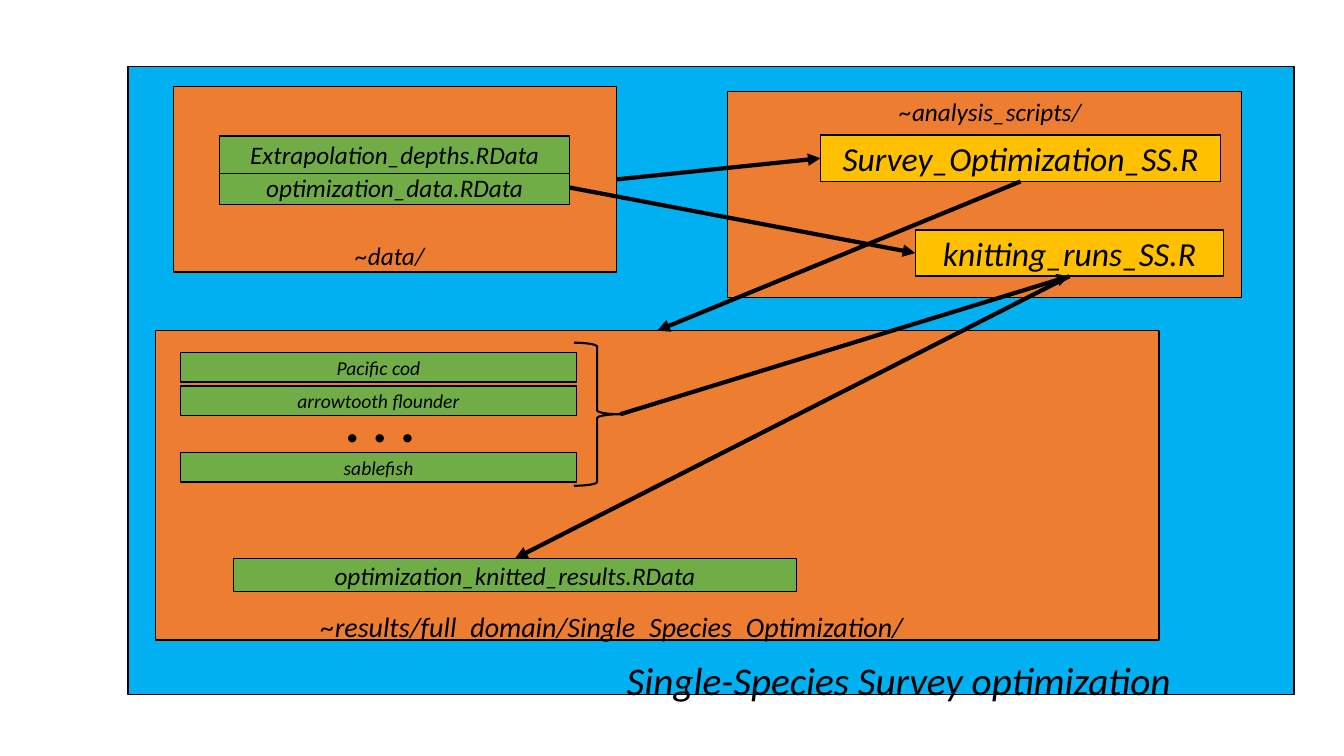
"""Build the single-species survey optimization workflow slide."""
from lxml import etree
from pptx import Presentation
from pptx.dml.color import RGBColor
from pptx.enum.shapes import MSO_CONNECTOR, MSO_SHAPE
from pptx.enum.text import MSO_ANCHOR, MSO_AUTO_SIZE, PP_ALIGN
from pptx.oxml.ns import qn
from pptx.util import Pt

BLACK = RGBColor(0x00, 0x00, 0x00)
BLUE = RGBColor(0x00, 0xB0, 0xF0)
ORANGE = RGBColor(0xED, 0x7D, 0x31)
GREEN = RGBColor(0x70, 0xAD, 0x47)
GOLD = RGBColor(0xFF, 0xC0, 0x00)
TOP, LEFT, BOTTOM, RIGHT = range(4)


def write(shape, text, size, anchor=MSO_ANCHOR.TOP, bold=False):
    frame = shape.text_frame
    frame.word_wrap = True
    frame.auto_size = MSO_AUTO_SIZE.NONE
    frame.vertical_anchor = anchor
    paragraph = frame.paragraphs[0]
    paragraph.alignment = PP_ALIGN.CENTER
    paragraph.line_spacing = 1.0
    run = paragraph.add_run()
    run.text = text
    run.font.name = "Calibri"
    run.font.size = Pt(size)
    run.font.italic = True
    run.font.bold = bold
    run.font.color.rgb = BLACK


def add_box(bounds, color, text="", size=18):
    shape = slide.shapes.add_shape(MSO_SHAPE.RECTANGLE, *map(Pt, bounds))
    shape.shadow.inherit = False
    shape.fill.solid()
    shape.fill.fore_color.rgb = color
    shape.line.color.rgb = BLACK
    shape.line.width = Pt(1)
    if text:
        write(shape, text, size, MSO_ANCHOR.MIDDLE)
    return shape


presentation = Presentation()
presentation.slide_width = Pt(960)
presentation.slide_height = Pt(540)
slide = presentation.slides.add_slide(presentation.slide_layouts[5])

title = slide.shapes.title
title.left, title.top, title.width, title.height = map(Pt, (382.3, 465.1, 519.1, 74.9))
write(title, "Single-Species Survey optimization", 28)

background = add_box((91.4, 47.5, 833, 448.6), BLUE)
title.element.addprevious(background.element)

results_folder = add_box((110.9, 236.2, 717.1, 221), ORANGE)
data_folder = add_box((123.8, 61.9, 316.8, 132.5), ORANGE)
scripts_folder = add_box((519.8, 65.5, 367.2, 146.9), ORANGE)

for row, species in ((0, "Pacific cod"), (1, "arrowtooth flounder"), (3, "sablefish")):
    add_box((128.9, 252 + 23.8 * row, 283, 20.9), GREEN, species, 14)

optimization_data = add_box((157, 121.7, 249.8, 24.5), GREEN, "optimization_data.RData")
add_box((157, 97.2, 249.8, 26.6), GREEN, "Extrapolation_depths.RData")
knitted_results = add_box((167, 398.9, 401.8, 23.8), GREEN, "optimization_knitted_results.RData")
survey_script = add_box((586.1, 96.5, 285.8, 33.1), GOLD, "Survey_Optimization_SS.R", 24)
knitting_script = add_box((653.8, 164.2, 220.3, 33.1), GOLD, "knitting_runs_SS.R", 24)

labels = (
    ((96.5, 432, 681.8, 31.7), "~results/full_domain/Single_Species_Optimization/", 20, False),
    ((195.1, 272.9, 154.1, 55.4), ". . .", 40, True),
    ((108.7, 167.8, 339.8, 28.8), "~data/", 18, False),
    ((527.8, 65.5, 359.3, 28.8), "~analysis_scripts/", 18, False),
)
for bounds, text, size, bold in labels:
    write(slide.shapes.add_textbox(*map(Pt, bounds)), text, size, bold=bold)

brace = slide.shapes.add_shape(MSO_SHAPE.RIGHT_BRACE, Pt(410), Pt(244.8), Pt(33.1), Pt(102.2))
brace.shadow.inherit = False
brace.fill.background()
brace.line.color.rgb = BLACK
brace.line.width = Pt(1.5)

arrows = (
    (data_folder, RIGHT, survey_script, LEFT),
    (survey_script, BOTTOM, results_folder, TOP),
    (brace, RIGHT, knitting_script, BOTTOM),
    (optimization_data, RIGHT, knitting_script, LEFT),
    (knitting_script, BOTTOM, knitted_results, TOP),
)
for source, source_side, target, target_side in arrows:
    arrow = slide.shapes.add_connector(MSO_CONNECTOR.STRAIGHT, 0, 0, 0, 0)
    if source is brace:
        arrow.begin_x = brace.left + brace.width
        arrow.begin_y = brace.top + brace.height // 2
    else:
        arrow.begin_connect(source, source_side)
    arrow.end_connect(target, target_side)
    arrow.line.color.rgb = BLACK
    arrow.line.width = Pt(3)
    etree.SubElement(arrow.line._get_or_add_ln(), qn("a:tailEnd"), type="triangle")
    etree.SubElement(arrow.element.spPr, qn("a:effectLst"))

presentation.save("out.pptx")
